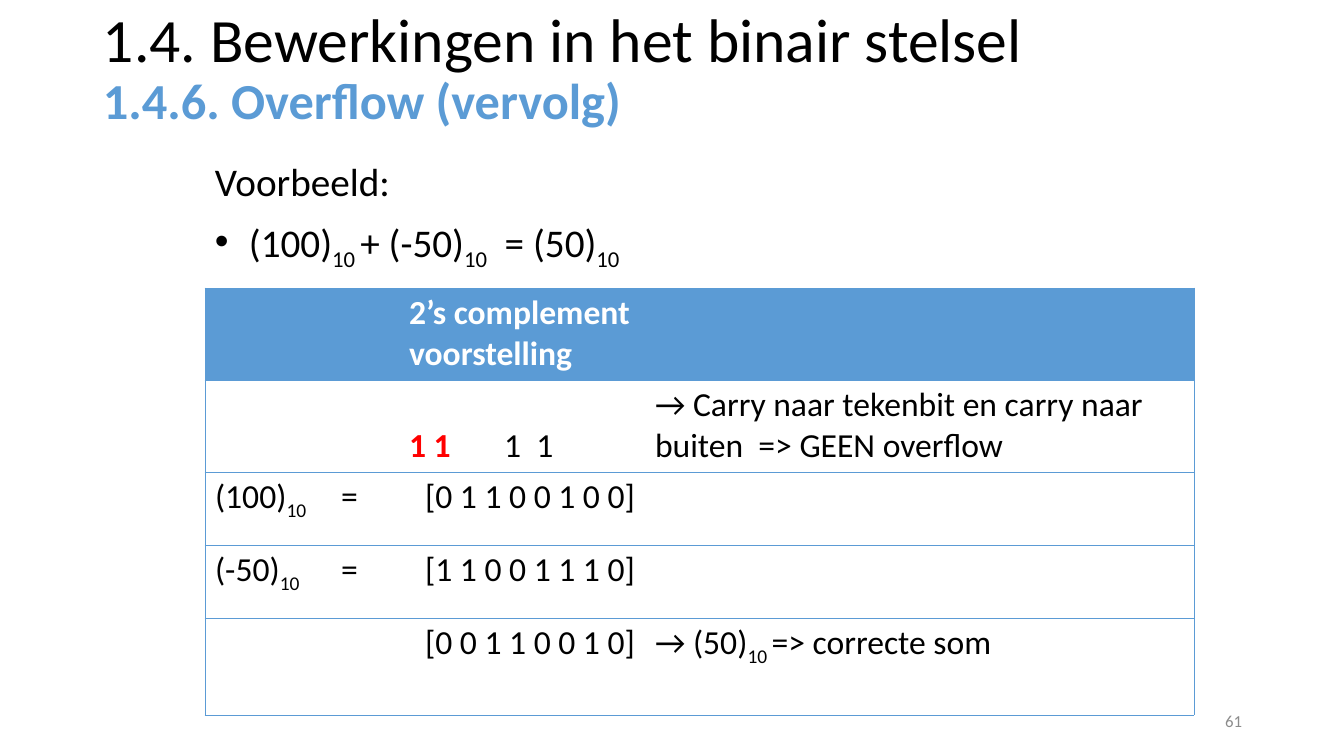
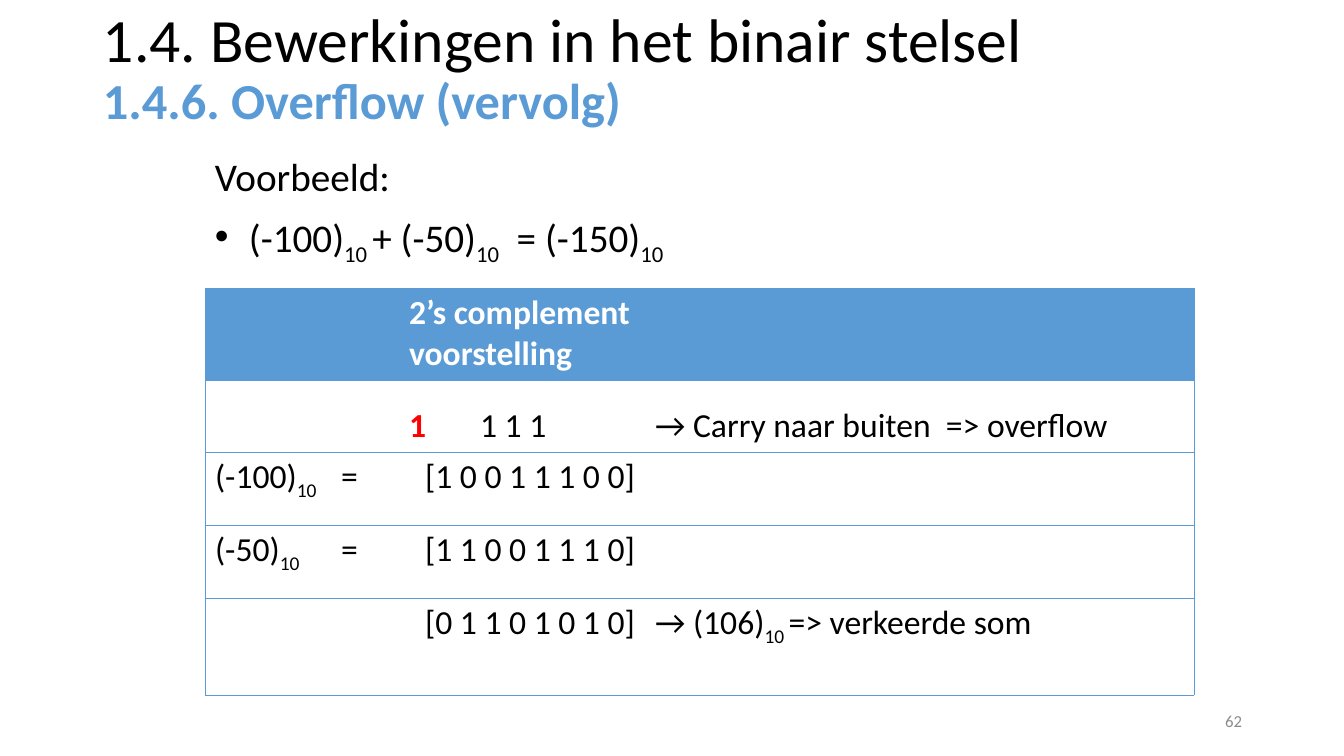
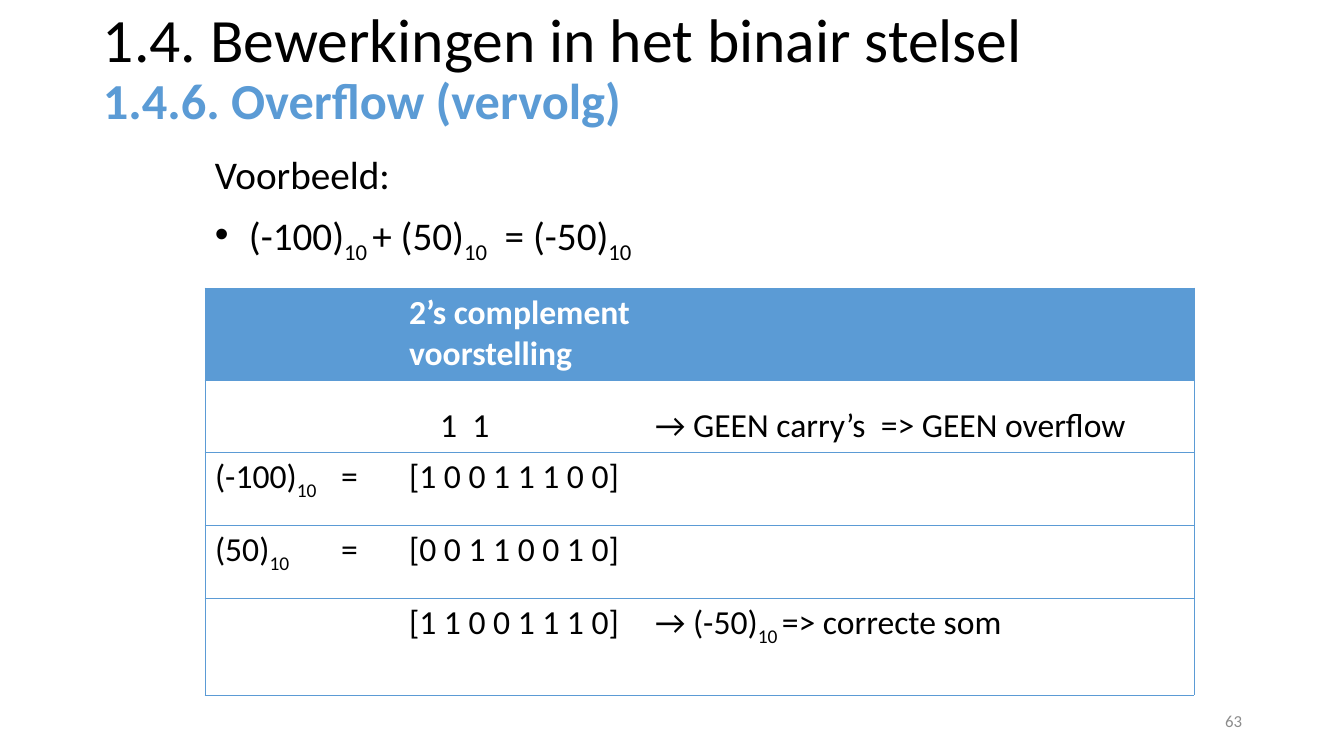
from dataclasses import dataclass

from lxml.etree import SubElement
from pptx import Presentation
from pptx.dml.color import RGBColor as Rgb
from pptx.enum.text import MSO_ANCHOR as Anchor, PP_ALIGN as Align
from pptx.oxml.ns import qn
from pptx.util import Pt

EMU_PER_PX = 12192000 / 1344
SLIDE_SIZE = (1344, 756)
TITLE_BOX = (93, -4, 1159, 147)
NUMBER_BOX = (950, 701, 302, 40)
TABLE_LEFT, TABLE_TOP = 205, 288
COLUMN_WIDTHS = (126, 68, 246, 549)
HEADER_HEIGHT, TERM_HEIGHT, SUM_HEIGHT = 92, 73, 97
BODY_HEIGHT, BULLET_INDENT = 528, 34
PLAIN_TABLE_STYLE = "{2D5ABB26-0587-4C30-8999-92F81FD0307C}"


@dataclass(frozen=True)
class Theme:
    font: str = "Calibri"
    ink: str = "000000"
    accent: str = "5B9BD5"
    white: str = "FFFFFF"
    carry: str = "FF0000"
    muted: str = "8C8C8C"
    title: int = 44
    subtitle: int = 36
    body: int = 28
    cell: int = 24
    number: int = 12
    border: float = 0.5


THEME = Theme()


@dataclass(frozen=True)
class Term:
    value: int
    bits: str = ""

    @property
    def label(self) -> str:
        return f"({self.value})~10~"


@dataclass(frozen=True)
class Example:
    number: int
    body_top: int
    body_width: int
    terms: tuple[Term, Term]
    total: int
    sum_bits: str
    sum_note: str
    sign_carry: str
    carries: str
    carry_tab: int
    carry_note: str
    carry_height: int = 72
    bits_indent: int = 16


EXAMPLES = (
    Example(61, 158, 1035, (Term(100, "0 1 1 0 0 1 0 0"), Term(-50, "1 1 0 0 1 1 1 0")),
            50, "0 0 1 1 0 0 1 0", "→ (50)~10 ~=> correcte som", "1 1", "1  1", 95,
            "→ Carry naar tekenbit en carry naar buiten  => GEEN overflow",
            carry_height=92),
    Example(62, 153, 1047, (Term(-100, "1 0 0 1 1 1 0 0"), Term(-50, "1 1 0 0 1 1 1 0")),
            -150, "0 1 1 0 1 0 1 0", "→ (106)~10 ~=> verkeerde som", "1", "1 1 1", 71,
            "→ Carry naar buiten  => overflow"),
    Example(63, 151, 1073, (Term(-100, "1 0 0 1 1 1 0 0"), Term(50, "0 0 1 1 0 0 1 0")),
            -50, "1 1 0 0 1 1 1 0", "→ (-50)~10 ~=> correcte som", "", "1  1", 31,
            "→ GEEN carry’s  => GEEN overflow", bits_indent=0),
)


def px(length: int) -> int:
    return round(length * EMU_PER_PX)


def write(paragraph, text: str, size: int, color: str = THEME.ink, bold: bool = False) -> None:
    """Append text; the parts between tildes become subscripts."""
    font_values = {"name": THEME.font, "size": Pt(size), "bold": bold}
    for index, part in enumerate(text.split("~")):
        if not part:
            continue
        run = paragraph.add_run()
        run.text = part
        for attribute, value in font_values.items():
            setattr(run.font, attribute, value)
        run.font.color.rgb = Rgb.from_string(color)
        if index % 2:
            run._r.get_or_add_rPr().set("baseline", "-25000")


def indent(paragraph, left: int, first: int = 0) -> None:
    properties = paragraph._p.get_or_add_pPr()
    properties.set("marL", str(px(left)))
    properties.set("indent", str(px(first)))


def add_text_frame(slide, box: tuple[int, int, int, int], anchor: Anchor):
    frame = slide.shapes.add_textbox(*map(px, box)).text_frame
    frame.word_wrap = True
    frame.vertical_anchor = anchor
    return frame


def add_title(slide) -> None:
    heading = add_text_frame(slide, TITLE_BOX, Anchor.MIDDLE).paragraphs[0]
    heading.line_spacing = 0.9
    write(heading, "1.4. Bewerkingen in het binair stelsel", THEME.title)
    heading.add_line_break()
    write(heading, "1.4.6. Overflow (vervolg)", THEME.subtitle, THEME.accent, True)


def add_body(slide, example: Example) -> None:
    box = (TABLE_LEFT, example.body_top, example.body_width, BODY_HEIGHT)
    frame = add_text_frame(slide, box, Anchor.TOP)
    intro, equation = frame.paragraphs[0], frame.add_paragraph()
    first, second = example.terms
    lines = {
        intro: "Voorbeeld:",
        equation: f"({first.value})~10 ~+ {second.label}  = {Term(example.total).label}",
    }
    for paragraph, text in lines.items():
        paragraph.line_spacing = 0.9
        paragraph.space_before = Pt(10)
        write(paragraph, text, THEME.body)
    indent(equation, BULLET_INDENT, -BULLET_INDENT)
    properties = equation._p.get_or_add_pPr()
    SubElement(properties, qn("a:buFont"), typeface="Arial")
    SubElement(properties, qn("a:buChar"), char="•")


def add_page_number(slide, number: int) -> None:
    paragraph = add_text_frame(slide, NUMBER_BOX, Anchor.MIDDLE).paragraphs[0]
    paragraph.alignment = Align.RIGHT
    write(paragraph, str(number), THEME.number, THEME.muted)


def format_cell(cell, is_header: bool, sides: list[str]) -> None:
    """Draw the borders on the given sides, then set the fill."""
    properties = cell._tc.get_or_add_tcPr()
    for side in sides:
        line = SubElement(properties, qn(f"a:ln{side}"), w=str(Pt(THEME.border)))
        SubElement(SubElement(line, qn("a:solidFill")), qn("a:srgbClr"), val=THEME.accent)
    if is_header:
        cell.fill.solid()
        cell.fill.fore_color.rgb = Rgb.from_string(THEME.accent)
    else:
        cell.fill.background()


def write_carries(cell, example: Example) -> None:
    paragraph = cell.text_frame.paragraphs[0]
    tabs = SubElement(paragraph._p.get_or_add_pPr(), qn("a:tabLst"))
    SubElement(tabs, qn("a:tab"), pos=str(px(example.carry_tab)), algn="l")
    write(paragraph, example.sign_carry, THEME.cell, THEME.carry, True)
    write(paragraph, f"\t{example.carries}", THEME.cell)


def add_complement_table(slide, example: Example) -> None:
    heights = (HEADER_HEIGHT, example.carry_height, TERM_HEIGHT, TERM_HEIGHT, SUM_HEIGHT)
    box = (TABLE_LEFT, TABLE_TOP, sum(COLUMN_WIDTHS), sum(heights))
    table = slide.shapes.add_table(len(heights), len(COLUMN_WIDTHS), *map(px, box)).table
    table._tbl.tblPr.find(qn("a:tableStyleId")).text = PLAIN_TABLE_STYLE
    for column, width in zip(table.columns, COLUMN_WIDTHS):
        column.width = px(width)
    for row, height in zip(table.rows, heights):
        row.height = px(height)

    rows = (
        ("", "", "2’s complement voorstelling", ""),
        ("", "", "", example.carry_note),
        *((term.label, "=", f"[{term.bits}]", "") for term in example.terms),
        ("", "", f"[{example.sum_bits}]", example.sum_note),
    )
    for row, texts in enumerate(rows):
        is_header = row == 0
        for column, text in enumerate(texts):
            cell = table.cell(row, column)
            outer = {"L": column == 0, "R": column == len(texts) - 1, "T": True, "B": True}
            format_cell(cell, is_header, [side for side, shown in outer.items() if shown])
            paragraph = cell.text_frame.paragraphs[0]
            write(paragraph, text, THEME.cell, THEME.white if is_header else THEME.ink, is_header)
            if row == 1:
                cell.vertical_anchor = Anchor.BOTTOM
            if text.startswith("["):
                indent(paragraph, example.bits_indent)
                cell.margin_right = 0
    write_carries(table.cell(1, 2), example)


def main() -> None:
    deck = Presentation()
    deck.slide_width, deck.slide_height = map(px, SLIDE_SIZE)
    for example in EXAMPLES:
        slide = deck.slides.add_slide(deck.slide_layouts[6])
        add_title(slide)
        add_body(slide, example)
        add_page_number(slide, example.number)
        add_complement_table(slide, example)
    deck.save("out.pptx")


if __name__ == "__main__":
    main()
